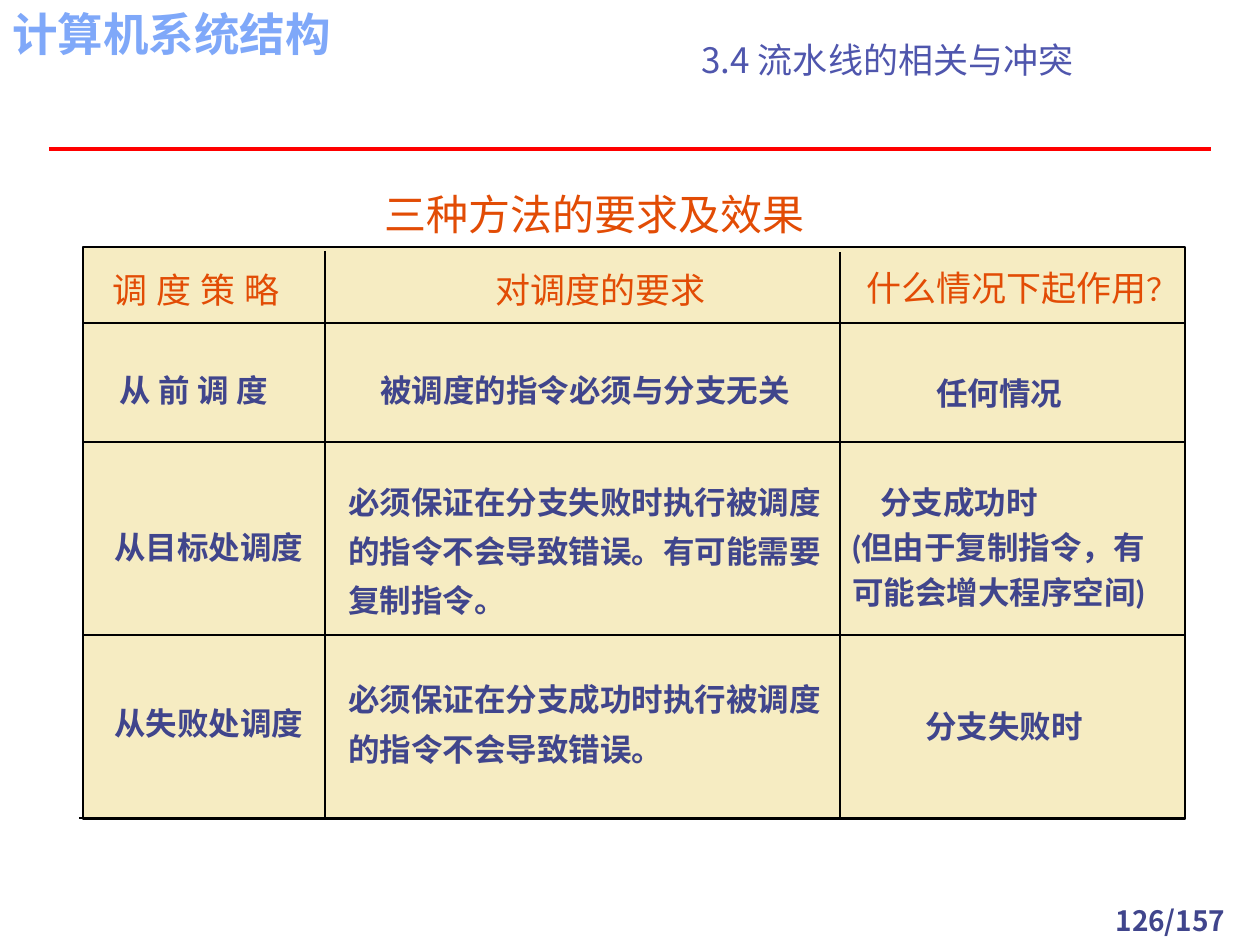
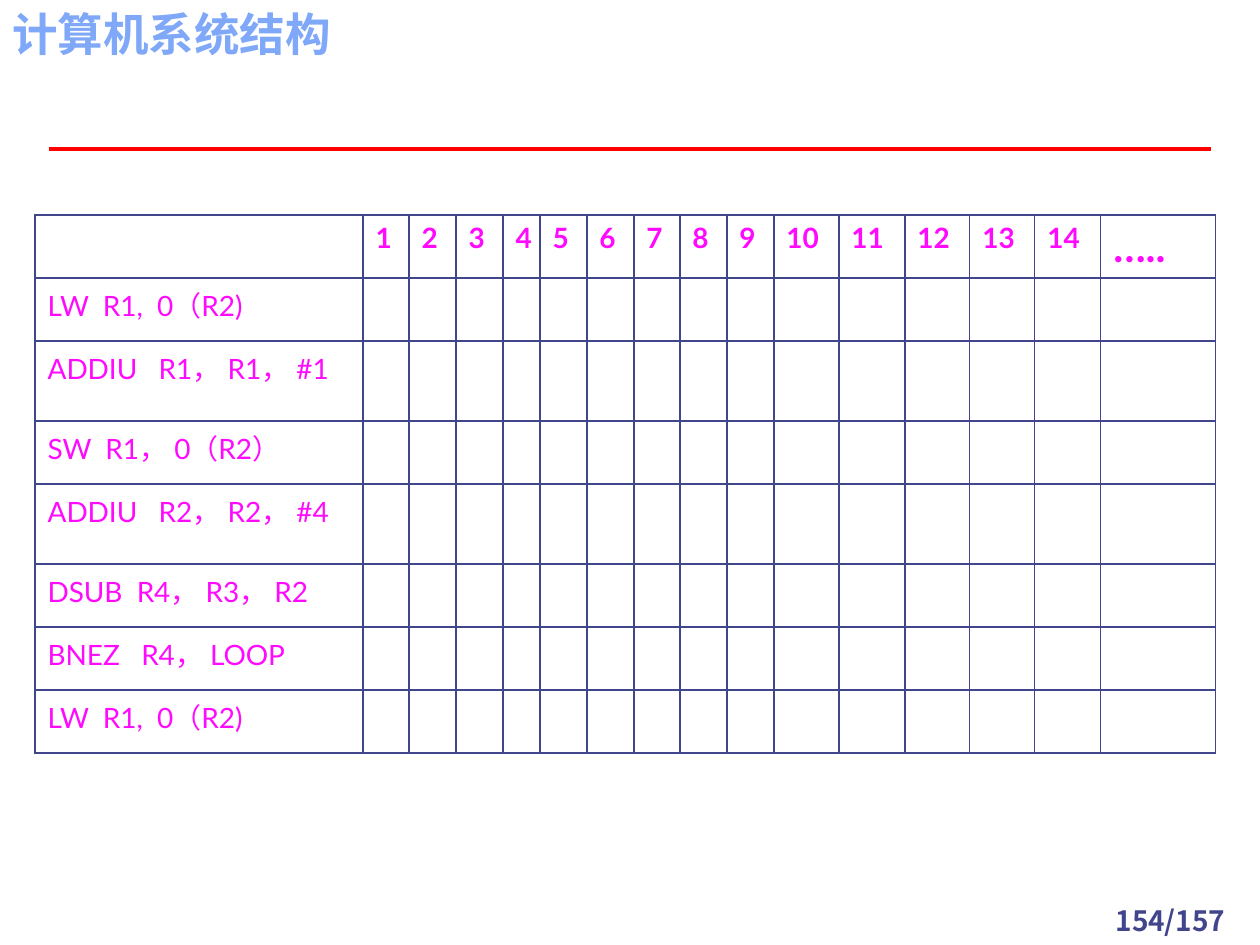
from itertools import pairwise

from lxml.etree import SubElement
from pptx import Presentation
from pptx.dml.color import RGBColor
from pptx.enum.shapes import MSO_CONNECTOR, MSO_SHAPE
from pptx.enum.text import MSO_ANCHOR, MSO_AUTO_SIZE, PP_ALIGN
from pptx.oxml.ns import qn
from pptx.util import Pt

PX = 914400 / 126
COLORS = {
    "brand": "7FA8F9",
    "rule": "FF0000",
    "ink": "40458C",
    "title": "4F56AD",
    "accent": "E24C05",
    "cream": "F6ECC2",
    "grid": "000000",
    "code": "FF0AFF",
}
CJK = "Noto Sans CJK SC"
LATIN = "Lato"
TOTAL_PAGES = 157

PANEL = (83, 247, 1102, 572)
HEADING = dict(size=20, ink="accent", east=LATIN)
ENTRY = dict(size=18, ink="ink", bold=True, east=LATIN)
# each entry: box relative to the panel, text, format
FILLED_ENTRIES = [
    ((17, 15, 234, 54), "调 度 策 略", HEADING),
    ((400, 15, 257, 54), "对调度的要求", HEADING),
    ((24, 118, 210, 50), "从 前 调 度", ENTRY),
    ((19, 275, 215, 50), "从目标处调度", ENTRY),
    ((19, 451, 215, 50), "从失败处调度", ENTRY),
    ((253, 218, 501, 160),
     "必须保证在分支失败时执行被调度\v的指令不会导致错误。有可能需要\v复制指令。",
     dict(ENTRY, spacing=1.3)),
    ((285, 118, 437, 50), "被调度的指令必须与分支无关", ENTRY),
    ((253, 416, 501, 111), "必须保证在分支成功时执行被调度\v的指令不会导致错误。",
     dict(ENTRY, spacing=1.3)),
    ((841, 121, 153, 50), "任何情况", ENTRY),
    ((830, 454, 185, 50), "分支失败时", ENTRY),
]
# each line: start and end relative to the panel
PANEL_LINES = [
    (-4, 571, 1101, 571),
    (242, 4, 242, 571),
    (757, 5, 757, 572),
    (0, 388, 1101, 388),
    (1, 76, 1102, 76),
    (1, 195, 1102, 195),
]

CYCLE_COLUMNS = [35, 363, 409, 456, 503, 540, 587, 634, 680, 727,
                 774, 839, 905, 970, 1035, 1101, 1216]
CYCLE_ROWS = [215, 278, 341, 421, 484, 564, 627, 690, 753]
CYCLES = [str(cycle) for cycle in range(1, 15)]
INSTRUCTIONS = [
    "LW  R1,  0（R2)",
    "ADDIU   R1， R1， #1",
    "SW  R1， 0（R2）",
    "ADDIU   R2， R2， #4",
    "DSUB  R4， R3， R2",
    "BNEZ   R4， LOOP",
    "LW  R1,  0（R2)",
]


def px(length):
    return round(length * PX)


def color(key):
    return RGBColor.from_string(COLORS[key])


def write(frame, text, *, size, ink, font=CJK, east=None, bold=False,
          align=PP_ALIGN.LEFT, spacing=None, before=0):
    for index, line in enumerate(text.split("\n")):
        paragraph = frame.add_paragraph() if index else frame.paragraphs[0]
        paragraph.text = line
        paragraph.alignment = align
        paragraph.space_before = Pt(before)
        if spacing:
            paragraph.line_spacing = spacing
        for run in paragraph.runs:
            run.font.size = Pt(size)
            run.font.bold = bold
            run.font.name = font
            run.font.color.rgb = color(ink)
            SubElement(run.font._element, qn("a:ea"), typeface=east or font)


def place(shape, box):
    shape.left, shape.top, shape.width, shape.height = map(px, box)


def inside(panel, box):
    return panel[0] + box[0], panel[1] + box[1], box[2], box[3]


def add_label(slide, box, text, **style):
    frame = slide.shapes.add_textbox(*map(px, box)).text_frame
    frame.word_wrap = True
    write(frame, text, **style)
    return frame


def add_block(slide, box, border=None):
    block = slide.shapes.add_shape(MSO_SHAPE.RECTANGLE, *map(px, box))
    block.shadow.inherit = False
    block.fill.solid()
    block.fill.fore_color.rgb = color("cream")
    if border:
        block.line.color.rgb = color(border)
        block.line.width = Pt(0.75)
    else:
        block.line.fill.background()
    return block


def add_line(slide, ends, key, width):
    line = slide.shapes.add_connector(MSO_CONNECTOR.STRAIGHT, *map(px, ends))
    line.line.color.rgb = color(key)
    line.line.width = Pt(width)
    SubElement(line._element.spPr, qn("a:effectLst"))


def add_page_frame(slide, page):
    add_label(slide, (1081, 897, 179, 42), f"{page}/{TOTAL_PAGES}", size=16, ink="ink",
              bold=True, align=PP_ALIGN.CENTER)
    add_line(slide, (49, 149, 1211, 149), "rule", 2)
    add_label(slide, (0, 0, 357, 68), "计算机系统结构", size=26, ink="brand", bold=True)


def add_headings(slide, title, subtitle):
    heading = slide.shapes.title
    place(heading, (536, 34, 703, 53))
    heading.text_frame.vertical_anchor = MSO_ANCHOR.BOTTOM
    heading.text_frame.auto_size = MSO_AUTO_SIZE.NONE
    write(heading.text_frame, title, size=20, ink="title", align=PP_ALIGN.CENTER)

    caption = slide.placeholders[1]
    place(caption, (372, 167, 476, 77))
    caption.text_frame.auto_size = MSO_AUTO_SIZE.NONE
    write(caption.text_frame, subtitle, size=24, ink="accent", font=LATIN,
          spacing=1.3, before=5)
    properties = caption.text_frame.paragraphs[0]._p.get_or_add_pPr()
    properties.set("marL", "0")
    properties.set("indent", "0")
    SubElement(properties, qn("a:buNone"))


def add_strategy_panel(slide, panel):
    add_block(slide, panel, "grid")
    for box, text, style in FILLED_ENTRIES:
        frame = add_block(slide, inside(panel, box)).text_frame
        frame.word_wrap = True
        frame.vertical_anchor = MSO_ANCHOR.TOP
        write(frame, text, **style)

    question = add_label(slide, inside(panel, (771, 13, 336, 54)),
                         "什么情况下起作用", **HEADING)
    mark = question.paragraphs[0].add_run()
    mark.text = "？"
    mark.font.size = Pt(18)
    mark.font.name = CJK
    mark.font.color.rgb = color("accent")
    SubElement(mark.font._element, qn("a:ea"), typeface=LATIN)

    success_case = add_label(slide, inside(panel, (757, 222, 345, 195)),
                             "分支成功时\n(但由于复制指令，有\v可能会增大程序空间)",
                             font=LATIN, spacing=1.2, **ENTRY)
    success_case.paragraphs[0]._p.get_or_add_pPr().set("marL", str(px(28)))

    left, top = panel[:2]
    for x1, y1, x2, y2 in PANEL_LINES:
        add_line(slide, (left + x1, top + y1, left + x2, top + y2), "grid", 0.75)


def set_borders(cell, key, width):
    properties = cell._tc.get_or_add_tcPr()
    for side in ("lnL", "lnR", "lnT", "lnB"):
        border = SubElement(properties, qn(f"a:{side}"), w=str(Pt(width)))
        fill = SubElement(border, qn("a:solidFill"))
        SubElement(fill, qn("a:srgbClr"), val=COLORS[key])


def add_cycle_table(slide, columns, rows):
    box = (columns[0], rows[0], columns[-1] - columns[0], rows[-1] - rows[0])
    table = slide.shapes.add_table(len(rows) - 1, len(columns) - 1, *map(px, box)).table
    table.first_row = table.horz_banding = False
    for column, (left, right) in zip(table.columns, pairwise(columns)):
        column.width = px(right - left)
    for row, (top, bottom) in zip(table.rows, pairwise(rows)):
        row.height = px(bottom - top)
    for cell in table.iter_cells():
        set_borders(cell, "ink", 1)
        cell.fill.background()

    style = dict(ink="code", font=LATIN)
    for column, cycle in enumerate(CYCLES, 1):
        write(table.cell(0, column).text_frame, cycle, size=16, bold=True, **style)
    write(table.cell(0, len(CYCLES) + 1).text_frame, "…..", size=24, bold=True, **style)
    for row, instruction in enumerate(INSTRUCTIONS, 1):
        cell = table.cell(row, 0)
        cell.margin_top, cell.margin_bottom = px(11), 0
        write(cell.text_frame, instruction, size=16, **style)


def main():
    deck = Presentation()
    deck.slide_width, deck.slide_height = px(1260), px(945)

    strategies = deck.slides.add_slide(deck.slide_layouts[1])
    add_page_frame(strategies, 126)
    add_headings(strategies, "3.4 流水线的相关与冲突", "三种方法的要求及效果")
    add_strategy_panel(strategies, PANEL)

    cycles = deck.slides.add_slide(deck.slide_layouts[6])
    add_page_frame(cycles, 154)
    add_cycle_table(cycles, CYCLE_COLUMNS, CYCLE_ROWS)

    deck.save("out.pptx")


if __name__ == "__main__":
    main()
